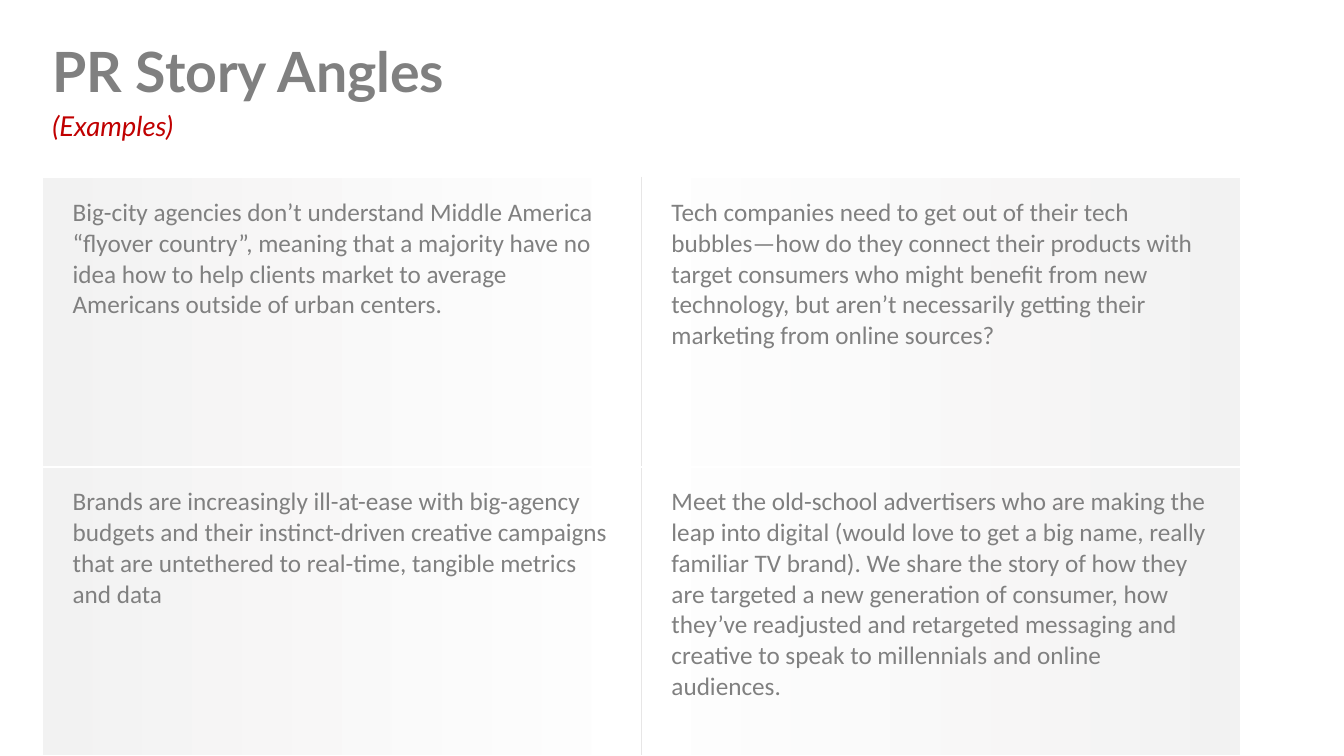
from lxml import etree
from pptx import Presentation
from pptx.dml.color import RGBColor
from pptx.enum.text import MSO_ANCHOR as Anchor, MSO_AUTO_SIZE as AutoSize, PP_ALIGN as Align
from pptx.oxml.ns import qn
from pptx.util import Inches, Pt

GREY, RED, SHADE, WHITE = "808080", "C00000", "E7E6E6", "FFFFFF"
LEFT, TABLE_TOP = 0.42, 1.76
COL_W, ROW_H = 5.94, 2.87
HEAD_W = 12.44

ANGLES = [
    ["Big-city agencies don’t understand Middle America “flyover country”, meaning that "
     "a majority have no idea how to help clients market to average Americans outside of "
     "urban centers.",
     "Tech companies need to get out of their tech bubbles—how do they connect their "
     "products with target consumers who might benefit from new technology, but aren’t "
     "necessarily getting their marketing from online sources?"],
    ["Brands are increasingly ill-at-ease with big-agency budgets and their "
     "instinct-driven creative campaigns that are untethered to real-time, tangible "
     "metrics and data",
     "Meet the old-school advertisers who are making the leap into digital (would love to "
     "get a big name, really familiar TV brand). We share the story of how they are "
     "targeted a new generation of consumer, how they’ve readjusted and retargeted "
     "messaging and creative to speak to millennials and online audiences."],
]


def rgb(value):
    return RGBColor.from_string(value)


def write(tf, text, size, color=GREY, font="Calibri", bold=False, italic=False,
          spacing=1.0, before=0):
    p = tf.paragraphs[0]
    p.alignment = Align.LEFT
    p.line_spacing = spacing
    p.space_before = Pt(before)
    r = p.add_run()
    r.text = text
    r.font.name = font
    r.font.size = Pt(size)
    r.font.bold = bold
    r.font.italic = italic
    r.font.color.rgb = rgb(color)
    return p


def place(sp, top, height, anchor):
    sp.left, sp.top = Inches(LEFT), Inches(top)
    sp.width, sp.height = Inches(HEAD_W), Inches(height)
    tf = sp.text_frame
    tf.word_wrap = True
    tf.auto_size = AutoSize.NONE
    tf.vertical_anchor = anchor
    return tf


def no_bullet(p):
    pPr = p._p.get_or_add_pPr()
    pPr.set("marL", "0")
    pPr.set("indent", "0")
    etree.SubElement(pPr, qn("a:buNone"))


def add_color(parent, color, alpha=None):
    clr = etree.SubElement(parent, qn("a:srgbClr"), val=color)
    if alpha is not None:
        etree.SubElement(clr, qn("a:alpha"), val=str(alpha * 1000))


def add_border(tcPr, side, color, width):
    ln = etree.SubElement(tcPr, qn(f"a:ln{side}"), w=str(Pt(width)))
    add_color(etree.SubElement(ln, qn("a:solidFill")), color)


def add_gradient(tcPr, colors, alpha):
    grad = etree.SubElement(tcPr, qn("a:gradFill"), rotWithShape="1")
    stops = etree.SubElement(grad, qn("a:gsLst"))
    for pos, color in zip((0, 100000), colors):
        add_color(etree.SubElement(stops, qn("a:gs"), pos=str(pos)), color, alpha)
    etree.SubElement(grad, qn("a:lin"), ang="0", scaled="0")


def fill_cell(cell, text, row, col):
    cell.margin_left = cell.margin_right = cell.margin_bottom = Inches(0.3)
    cell.margin_top = Inches(0.2)
    cell.vertical_anchor = Anchor.TOP
    write(cell.text_frame, text, 18)
    tcPr = cell._tc.get_or_add_tcPr()
    add_border(tcPr, "RL"[col], SHADE, 1)
    add_border(tcPr, "BT"[row], WHITE, 1.5)
    add_gradient(tcPr, [(SHADE, WHITE), (WHITE, SHADE)][col], 50)


def add_angles(s):
    rows, cols = len(ANGLES), len(ANGLES[0])
    table = s.shapes.add_table(rows, cols, Inches(LEFT), Inches(TABLE_TOP),
                               Inches(COL_W * cols), Inches(ROW_H * rows)).table
    table.first_row = table.horz_banding = False
    for i, texts in enumerate(ANGLES):
        for j, text in enumerate(texts):
            fill_cell(table.cell(i, j), text, i, j)


def main():
    prs = Presentation()
    prs.slide_width, prs.slide_height = Inches(13.33), Inches(7.5)
    s = prs.slides.add_slide(prs.slide_layouts[1])
    title, subtitle = s.placeholders
    write(place(title, 0.36, 0.76, Anchor.MIDDLE), "PR Story Angles", 39.6,
          font="Lato", bold=True, spacing=0.9)
    p = write(place(subtitle, 1.12, 0.35, Anchor.TOP), "(Examples)", 19.6, color=RED,
              font="Lato", italic=True, spacing=0.7, before=10)
    no_bullet(p)
    add_angles(s)
    prs.save("out.pptx")


if __name__ == "__main__":
    main()
